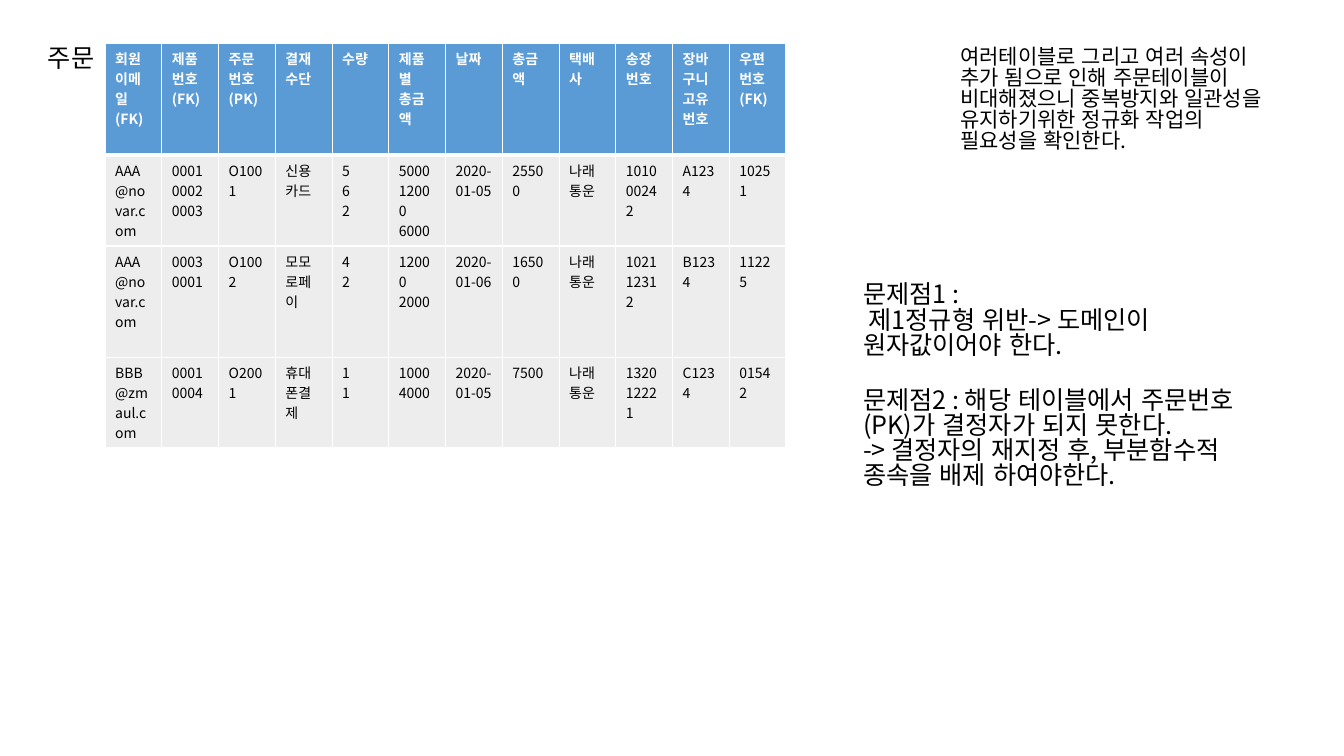
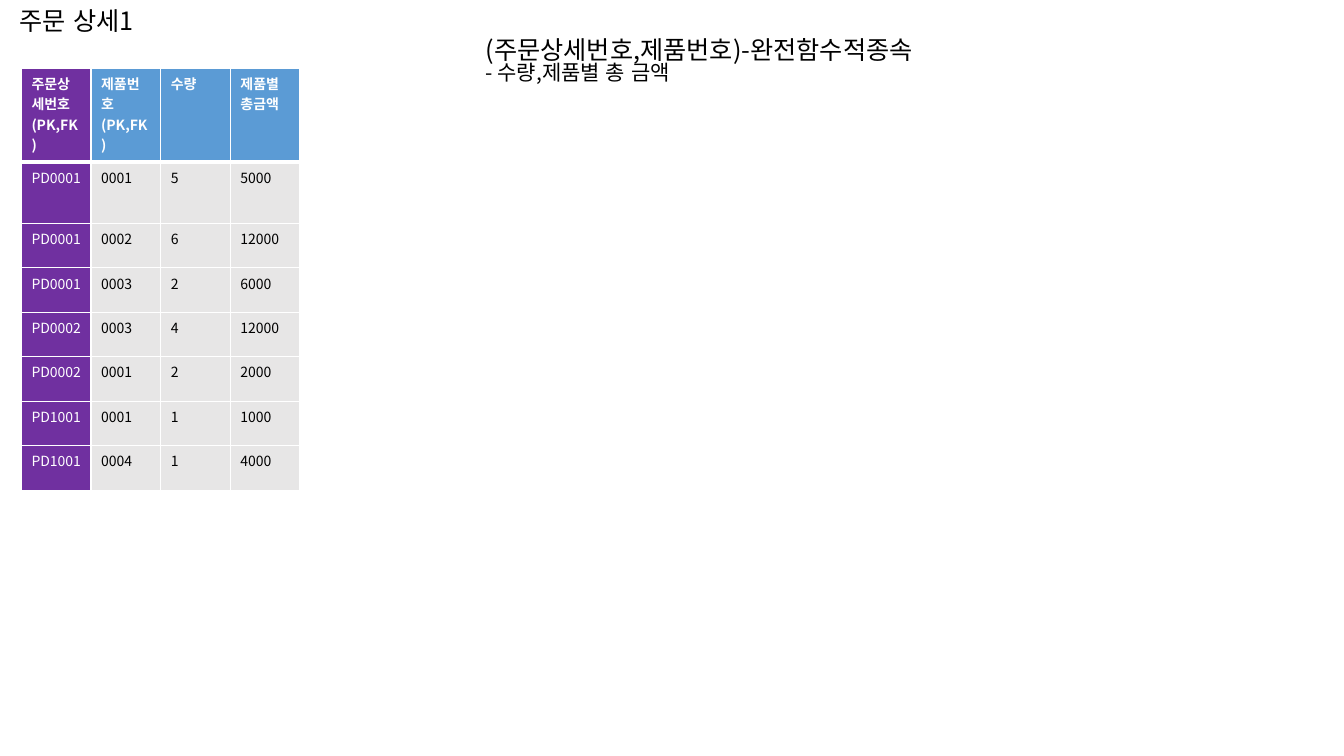
from dataclasses import dataclass

from lxml import etree
from pptx import Presentation
from pptx.dml.color import RGBColor
from pptx.enum import lang, text
from pptx.oxml import ns
from pptx.util import Cm, Pt


@dataclass(frozen=True)
class Theme:
    """Colours, type sizes and line weights shared by the slides."""
    font: str = "Noto Sans CJK KR"
    ink: str = "000000"
    white: str = "FFFFFF"
    header: str = "5B9BD5"
    key: str = "7030A0"
    order_cell: str = "EDEDED"
    detail_cell: str = "E7E6E6"
    title: int = 18
    note: int = 15
    cell: int = 10
    leading: float = 0.83
    rule: int = 1
    header_rule: int = 3


T = Theme()

ORDER_HEADER = ["회원 이메일(FK)", "제품번호(FK)", "주문번호(PK)", "결재수단", "수량", "제품별 총금액",
                "날짜", "총금액", "택배사", "송장번호", "장바구니 고유번호", "우편번호(FK)"]
ORDERS = [
    ["AAA\n@novar.com", "0001\n0002\n0003", "O1001", "신용카드", "5\n6\n2", "5000\n12000\n6000",
     "2020-01-05", "25500", "나래통운", "101000242", "A1234", "10251"],
    ["AAA\n@novar.com", "0003\n0001", "O1002", "모모로페이", "4\n2", "12000\n2000",
     "2020-01-06", "16500", "나래통운", "102112312", "B1234", "11225"],
    ["BBB@zmaul.com", "0001\n0004", "O2001", "휴대폰결제", "1\n1", "1000\n4000",
     "2020-01-05", "7500", "나래통운", "132012221", "C1234", "01542"],
]
DETAIL_HEADER = ["주문상세번호\n(PK,FK)", "제품번호(PK,FK)", "수량", "제품별 총금액"]
DETAILS = [
    ["PD0001", "0001", "5", "5000"],
    ["PD0001", "0002", "6", "12000"],
    ["PD0001", "0003", "2", "6000"],
    ["PD0002", "0003", "4", "12000"],
    ["PD0002", "0001", "2", "2000"],
    ["PD1001", "0001", "1", "1000"],
    ["PD1001", "0004", "1", "4000"],
]


def style(p, size, color=T.ink, bold=False):
    """Format every run of a paragraph, East Asian font included."""
    for r in p.runs:
        fmt = {"name": T.font, "size": Pt(size), "bold": bold,
               "language_id": lang.MSO_LANGUAGE_ID.KOREAN}
        for name, value in fmt.items():
            setattr(r.font, name, value)
        r.font.color.rgb = RGBColor.from_string(color)
        ea = etree.SubElement(r._r.get_or_add_rPr(), ns.qn("a:ea"))
        ea.set("typeface", T.font)


def add_text(s, box, paragraphs, gap=0):
    """Place (wording, size) paragraphs in a wrapping text box."""
    tf = s.shapes.add_textbox(*map(Cm, box)).text_frame
    fmt = {"word_wrap": True, "auto_size": text.MSO_AUTO_SIZE.SHAPE_TO_FIT_TEXT}
    for name, value in fmt.items():
        setattr(tf, name, value)
    for i, (wording, size) in enumerate(paragraphs):
        p = tf.add_paragraph() if i else tf.paragraphs[0]
        p.text = wording
        p.line_spacing = T.leading
        p.space_before = Pt(gap if i else 0)
        style(p, size)


def add_borders(cell, bottom):
    """Draw white rules around a cell."""
    tc_pr = cell._tc.get_or_add_tcPr()
    for side, weight in zip("LRTB", (T.rule, T.rule, T.rule, bottom)):
        ln = etree.SubElement(tc_pr, ns.qn("a:ln" + side), w=str(Pt(weight)))
        fill = etree.SubElement(ln, ns.qn("a:solidFill"))
        etree.SubElement(fill, ns.qn("a:srgbClr"), val=T.white)


def add_grid(s, box, heights, rows, body_fill, key_column=False):
    """Build a table with a header row and an optional key column."""
    left, top, width = box
    n_cols = len(rows[0])
    shape = s.shapes.add_table(len(rows), n_cols, Cm(left), Cm(top), Cm(width), Cm(sum(heights)))
    table = shape.table
    table.horz_banding = False
    for column in table.columns:
        column.width = Cm(width / n_cols)
    for i, (height, row) in enumerate(zip(heights, rows)):
        table.rows[i].height = Cm(height)
        for j, wording in enumerate(row):
            cell = table.cell(i, j)
            is_key, is_header = key_column and j == 0, i == 0
            add_borders(cell, T.header_rule if is_header else T.rule)
            fill = T.key if is_key else T.header if is_header else body_fill
            cell.fill.solid()
            cell.fill.fore_color.rgb = RGBColor.from_string(fill)
            cell.text_frame.text = wording
            for p in cell.text_frame.paragraphs:
                style(p, T.cell, T.white if is_key or is_header else T.ink, is_header)


def order_slide(s):
    """Show the order table and its normalization problems."""
    add_grid(s, (2.65, 1.09, 17.16), (2.82, 2.29, 2.8, 2.27),
             [ORDER_HEADER, *ORDERS], T.order_cell)
    add_text(s, (0.96, 1.07, 4.4, 1.02), [("주문", T.title)])
    add_text(s, (23.95, 1.09, 8.25, 3.45), [
        ("여러테이블로 그리고 여러 속성이 추가 됨으로 인해 주문테이블이 비대해졌으니 "
         "중복방지와 일관성을 유지하기위한 정규화 작업의 필요성을 확인한다.", T.note)])
    add_text(s, (21.5, 7.03, 10.7, 6.4), [
        ("문제점1 :\v 제1정규형 위반-> 도메인이 원자값이어야 한다.", T.title),
        ("문제점2 : 해당 테이블에서 주문번호(PK)가 결정자가 되지 못한다. "
         "\v-> 결정자의 재지정 후, 부분함수적 종속을 배제 하여야한다.", T.title)], gap=21.7)


def detail_slide(s):
    """Show the order detail table and its dependency."""
    add_text(s, (0.25, 0.13, 4.67, 1.02), [("주문 상세1", T.title)])
    add_text(s, (11.99, 0.86, 12.4, 1.68), [
        ("(주문상세번호,제품번호)-완전함수적종속", T.title),
        ("- 수량,제품별 총 금액", T.note)])
    add_grid(s, (0.54, 1.73, 7.02), (2.36, 1.54) + (1.12,) * 6,
             [DETAIL_HEADER, *DETAILS], T.detail_cell, key_column=True)


def main():
    """Build and save the presentation."""
    prs = Presentation()
    prs.slide_width, prs.slide_height = Cm(33.87), Cm(19.05)
    for build in (order_slide, detail_slide):
        build(prs.slides.add_slide(prs.slide_layouts[6]))
    prs.save("out.pptx")


if __name__ == "__main__":
    main()
